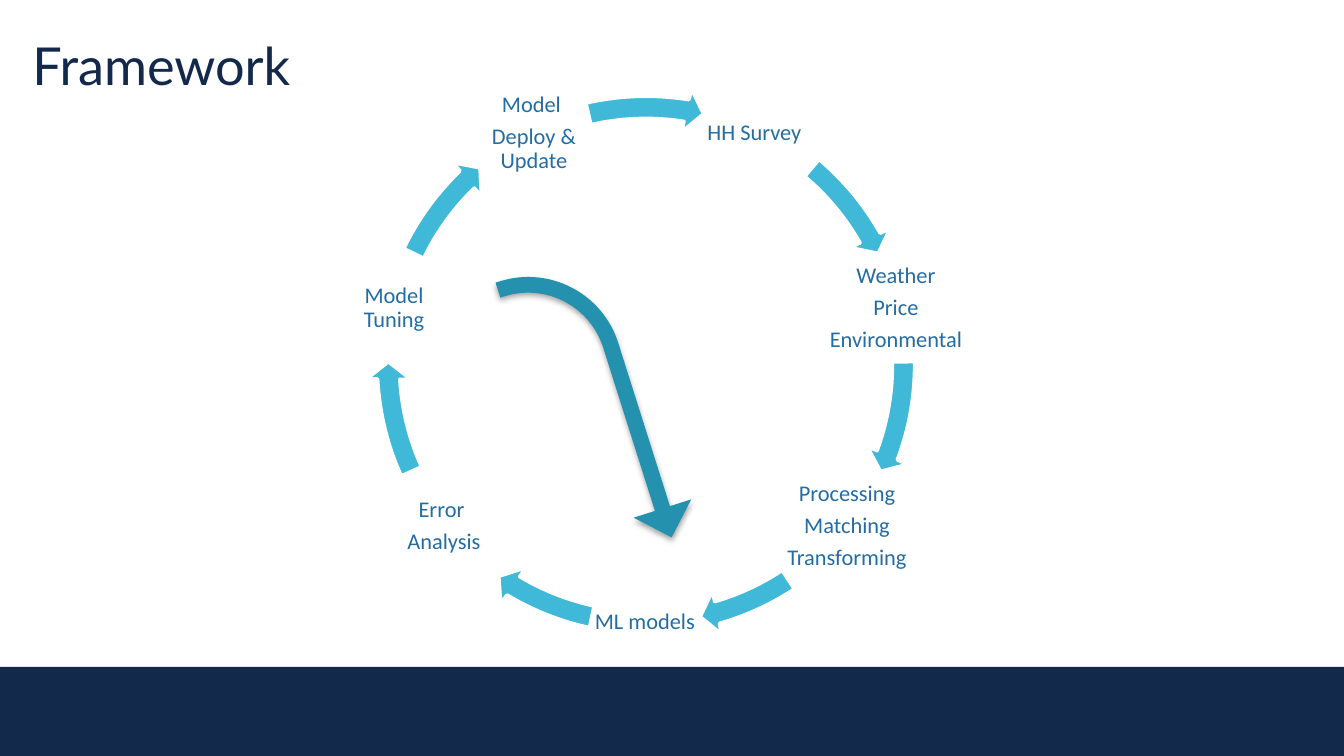
from lxml import etree
from pptx import Presentation
from pptx.dml.color import RGBColor
from pptx.enum.shapes import MSO_SHAPE as SHAPE
from pptx.enum.text import MSO_ANCHOR as ANCHOR, MSO_AUTO_SIZE as AUTOSIZE, PP_ALIGN as ALIGN
from pptx.oxml.ns import qn
from pptx.util import Emu, Pt

NAVY, SKY, TEAL, BLUE, WHITE = "13294B", "40B9D8", "2492AE", "246DA4", "FFFFFF"
EMU_PER_PX = 914400 / 134.4
RING = (366, 85, 560, 560)
STEPS = [
    ((703, 79, 108, 108), ["HH Survey "], 198.28, 186.05),
    ((789, 254, 214, 108), ["Weather", "Price", "Environmental"], 12.31, 215.57),
    ((771, 472, 152, 108), ["Processing", "Matching", "Transforming"], 44.38, 33.87),
    ((591, 568, 108, 108), ["ML models"], 72.58, 61.27),
    ((390, 472, 108, 108), ["Error ", "Analysis"], 106.09, 93.34),
    ((340, 254, 108, 108), ["Model Tuning"], 135.61, 123.38),
    ((480, 79, 108, 108), ["Model ", "Deploy & Update"], 167.42, 154.24),
]


def px(n):
    return Emu(round(n * EMU_PER_PX))


def rgb(color):
    return RGBColor.from_string(color)


class Deck:
    def __init__(self, width, height):
        self.prs = Presentation()
        self.prs.slide_width, self.prs.slide_height = px(width), px(height)
        self.s = self.prs.slides.add_slide(self.prs.slide_layouts[5])

    def font(self, p, name, size, color):
        for r in p.runs:
            r.font.name = name
            r.font.size = Pt(size)
            r.font.color.rgb = rgb(color)

    def title(self, box, text):
        sp = self.s.shapes.title
        sp.left, sp.top, sp.width, sp.height = map(px, box)
        tf = sp.text_frame
        tf.text = text
        tf.auto_size = AUTOSIZE.NONE
        tf.vertical_anchor = ANCHOR.TOP
        p = tf.paragraphs[0]
        p.alignment = ALIGN.LEFT
        self.font(p, "Lato", 28, NAVY)

    def shape(self, kind, box, fill, line=None, adj=(), rotation=0):
        sp = self.s.shapes.add_shape(kind, *map(px, box))
        sp.shadow.inherit = False
        sp.fill.solid()
        sp.fill.fore_color.rgb = rgb(fill)
        if line:
            sp.line.color.rgb = rgb(line)
            sp.line.width = Pt(2)
        else:
            sp.line.fill.background()
        for i, value in enumerate(adj):
            sp.adjustments[i] = value
        sp.rotation = rotation
        return sp

    def shadow(self, sp, blur, dist, alpha):
        effects = sp._element.spPr.find(qn("a:effectLst"))
        outer = etree.SubElement(effects, qn("a:outerShdw"), blurRad=str(Pt(blur)),
                                 dist=str(Pt(dist)), dir="5400000", rotWithShape="0")
        color = etree.SubElement(outer, qn("a:srgbClr"), val="000000")
        etree.SubElement(color, qn("a:alpha"), val=str(alpha * 1000))

    def label(self, box, lines):
        tf = self.s.shapes.add_textbox(*map(px, box)).text_frame
        tf.word_wrap = True
        tf.vertical_anchor = ANCHOR.MIDDLE
        tf.margin_left = tf.margin_right = tf.margin_top = tf.margin_bottom = px(2)
        tf.text = "\n".join(lines)
        for p in tf.paragraphs:
            p.alignment = ALIGN.CENTER
            p.line_spacing = 0.9
            p.space_after = Pt(4.2)
            self.font(p, "Calibri", 12, BLUE)


def main():
    deck = Deck(1344, 756)
    deck.shape(SHAPE.RECTANGLE, (0, 667, 1344, 89), NAVY)
    deck.title((19, 27, 1310, 457), "Framework")
    for box, lines, end, start in STEPS:
        deck.label(box, lines)
        deck.shape(SHAPE.CIRCULAR_ARROW, RING, SKY, WHITE, (0.04, 2.35, end, start, 0.04))
    shortcut = deck.shape(SHAPE.BENT_ARROW, (450, 345, 296, 121), TEAL,
                          adj=(0.13, 0.25, 0.25, 0.78), rotation=72.4)
    deck.shadow(shortcut, 3.1, 1.8, 35)
    deck.prs.save("out.pptx")


if __name__ == "__main__":
    main()
